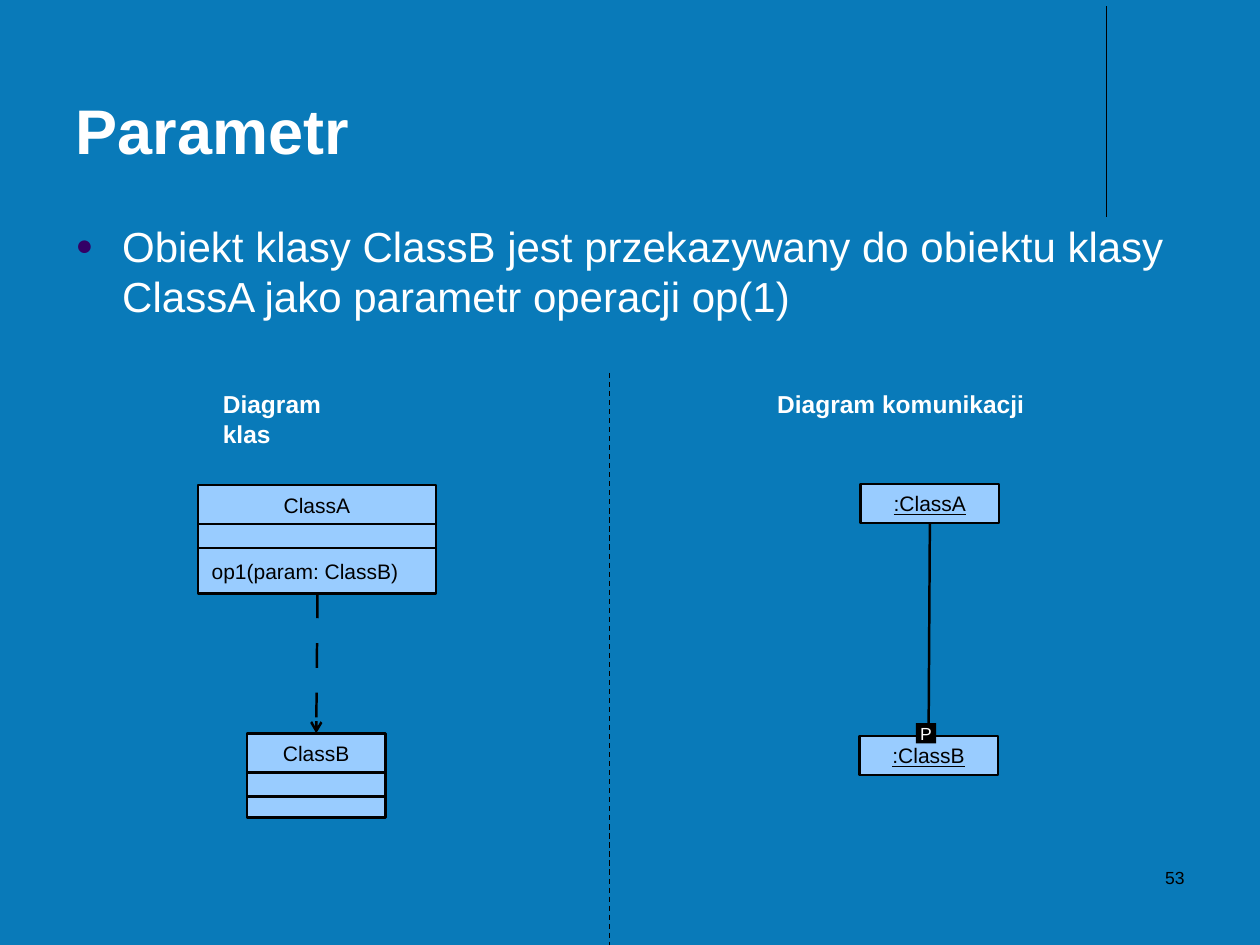
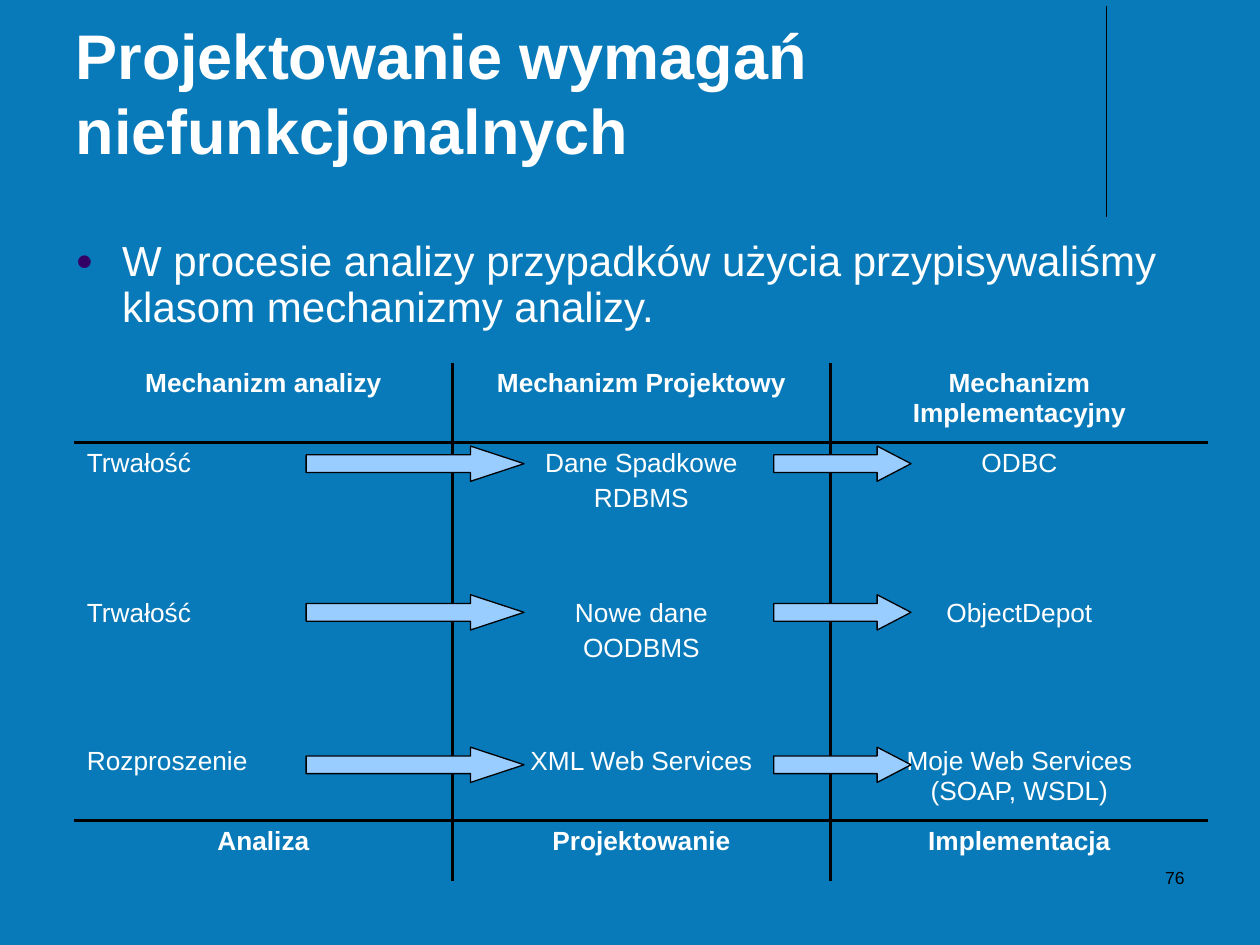
from lxml.etree import SubElement
from pptx import Presentation
from pptx.dml.color import RGBColor
from pptx.enum.dml import MSO_LINE
from pptx.enum.shapes import MSO_CONNECTOR, MSO_SHAPE
from pptx.enum.text import MSO_ANCHOR, MSO_AUTO_SIZE, PP_ALIGN
from pptx.oxml.ns import qn
from pptx.util import Inches, Pt

WIDTH, HEIGHT = Inches(10), Inches(7.5)
GRID_COLUMNS, GRID_ROWS = 10, 7.5
FONT = "Arial"
BACKGROUND, WHITE, BLACK = "097AB9", "FFFFFF", "000000"
BOX_BLUE, BULLET_PURPLE = "99CCFF", "330066"
THIN, OUTLINE, RULE = 0.75, 1.42, 1.98
NAME_HEIGHT, ATTRIBUTE_HEIGHT = 0.31, 0.19
CLASS_WIDTH = 1.1

MECHANISMS = [
    ["Mechanizm analizy", "Mechanizm Projektowy", "Mechanizm Implementacyjny"],
    ["Trwałość", "Dane Spadkowe\nRDBMS", "ODBC"],
    ["", "", ""],
    ["Trwałość", "Nowe dane\nOODBMS", "ObjectDepot"],
    ["", "", ""],
    ["Rozproszenie", "XML Web Services", "Moje Web Services\v(SOAP, WSDL)"],
    ["Analiza", "Projektowanie", "Implementacja"],
]
ROW_HEIGHTS = [0.63, 0.68, 0.51, 0.68, 0.5, 0.63, 0.48]


def color(hex_string):
    return RGBColor.from_string(hex_string)


def across(columns):
    return round(WIDTH * columns / GRID_COLUMNS)


def down(rows):
    return round(HEIGHT * rows / GRID_ROWS)


def area(left, top, width, height):
    return across(left), down(top), across(width), down(height)


def set_insets(text_frame, horizontal, vertical):
    text_frame.margin_left = text_frame.margin_right = Inches(horizontal)
    text_frame.margin_top = text_frame.margin_bottom = Inches(vertical)


def write(text_frame, text, size, hex_string, align=PP_ALIGN.LEFT,
          bold=False, underline=False, gap=0):
    text_frame.text = text
    for index, paragraph in enumerate(text_frame.paragraphs):
        paragraph.alignment = align
        paragraph.space_before = Pt(gap if index else 0)
        for run in paragraph.runs:
            run.font.name = FONT
            run.font.size = Pt(size)
            run.font.bold = bold
            run.font.underline = underline
            run.font.color.rgb = color(hex_string)


def add_text(slide, box, text, size, hex_string, wrap=True, **style):
    text_frame = slide.shapes.add_textbox(*area(*box)).text_frame
    text_frame.word_wrap = wrap
    set_insets(text_frame, 0.1, 0.05)
    write(text_frame, text, size, hex_string, **style)


def add_box(shapes, box, fill=BOX_BLUE, line_width=OUTLINE, kind=MSO_SHAPE.RECTANGLE):
    shape = shapes.add_shape(kind, *area(*box))
    shape.shadow.inherit = False
    shape.fill.solid()
    shape.fill.fore_color.rgb = color(fill)
    if line_width:
        shape.line.color.rgb = color(BLACK)
        shape.line.width = Pt(line_width)
    else:
        shape.line.fill.background()
    return shape


def add_label_box(shapes, box, text, align=PP_ALIGN.CENTER, underline=False):
    text_frame = add_box(shapes, box).text_frame
    text_frame.vertical_anchor = MSO_ANCHOR.MIDDLE
    set_insets(text_frame, 0.11, 0.06)
    write(text_frame, text, 12, BLACK, align=align, underline=underline)


def add_class(slide, left, top, width, name, operation, operation_height):
    shapes = slide.shapes.add_group_shape().shapes
    add_label_box(shapes, (left, top, width, NAME_HEIGHT), name)
    top += NAME_HEIGHT
    add_box(shapes, (left, top, width, ATTRIBUTE_HEIGHT))
    top += ATTRIBUTE_HEIGHT
    add_label_box(shapes, (left, top, width, operation_height), operation, PP_ALIGN.LEFT)


def add_line(slide, start, end, width):
    connector = slide.shapes.add_connector(
        MSO_CONNECTOR.STRAIGHT,
        across(start[0]), down(start[1]), across(end[0]), down(end[1]))
    connector.line.color.rgb = color(BLACK)
    connector.line.width = Pt(width)
    SubElement(connector._element.spPr, qn("a:effectLst"))
    return connector


def add_dependency(slide, start, end):
    line = add_line(slide, start, end, OUTLINE).line._get_or_add_ln()
    dashes = SubElement(line, qn("a:custDash"))
    SubElement(dashes, qn("a:ds"), d="1000000", sp="1000000")
    SubElement(line, qn("a:tailEnd"), type="arrow")


def place(placeholder, box, anchor):
    placeholder.left, placeholder.top, placeholder.width, placeholder.height = area(*box)
    text_frame = placeholder.text_frame
    text_frame.auto_size = MSO_AUTO_SIZE.NONE
    text_frame.word_wrap = True
    text_frame.vertical_anchor = anchor
    set_insets(text_frame, 0.1, 0.05)
    return text_frame


def add_bullet(paragraph):
    properties = paragraph._p.get_or_add_pPr()
    properties.set("marL", str(Inches(0.37)))
    properties.set("indent", str(-Inches(0.37)))
    bullet_color = SubElement(properties, qn("a:buClr"))
    SubElement(bullet_color, qn("a:srgbClr"), val=BULLET_PURPLE)
    SubElement(properties, qn("a:buSzPct"), val="70000")
    SubElement(properties, qn("a:buFont"), typeface=FONT)
    SubElement(properties, qn("a:buChar"), char="●")


def add_content_slide(presentation, title, point, point_box, number, line_spacing=1.0):
    slide = presentation.slides.add_slide(presentation.slide_layouts[1])
    add_line(slide, (8.78, 0.05), (8.78, 1.72), THIN)
    title_frame = place(slide.shapes.title, (0.5, 0.13, 8.25, 1.25), MSO_ANCHOR.BOTTOM)
    write(title_frame, title, 36, WHITE, bold=True)
    body_frame = place(slide.placeholders[1], point_box, MSO_ANCHOR.TOP)
    write(body_frame, point, 24, WHITE)
    body_frame.paragraphs[0].line_spacing = line_spacing
    add_bullet(body_frame.paragraphs[0])
    add_text(slide, (7.17, 6.83, 2.33, 0.5), number, 10, BLACK, align=PP_ALIGN.RIGHT)
    return slide


def set_borders(cell, visible_sides):
    properties = cell._tc.get_or_add_tcPr()
    for side in "LRTB":
        border = SubElement(properties, qn(f"a:ln{side}"), w=str(Pt(RULE)))
        if side in visible_sides:
            fill = SubElement(border, qn("a:solidFill"))
            SubElement(fill, qn("a:srgbClr"), val=BLACK)
        else:
            SubElement(border, qn("a:noFill"))


def sides_for(row, column, last_row, last_column):
    rules = {
        "L": column > 0,
        "R": column < last_column,
        "T": row in (1, last_row),
        "B": row in (0, last_row - 1),
    }
    return [side for side, visible in rules.items() if visible]


def add_mechanism_table(slide):
    last_row, last_column = len(MECHANISMS) - 1, len(MECHANISMS[0]) - 1
    box = area(0.59, 2.88, 9, sum(ROW_HEIGHTS))
    table = slide.shapes.add_table(last_row + 1, last_column + 1, *box).table
    table.first_row = table.horz_banding = False
    for row, texts in enumerate(MECHANISMS):
        table.rows[row].height = down(ROW_HEIGHTS[row])
        heading = row in (0, last_row)
        for column, text in enumerate(texts):
            cell = table.cell(row, column)
            set_borders(cell, sides_for(row, column, last_row, last_column))
            cell.fill.background()
            centred = heading or column > 0
            write(cell.text_frame, text, 15, WHITE, bold=heading, gap=3.7,
                  align=PP_ALIGN.CENTER if centred else PP_ALIGN.LEFT)


def add_block_arrow(slide, left, top, width, head):
    arrow = add_box(slide.shapes, (left, top, width, 0.28), line_width=THIN,
                    kind=MSO_SHAPE.RIGHT_ARROW)
    arrow.adjustments[0] = 0.5
    arrow.adjustments[1] = head


def build_parameter_slide(presentation):
    slide = add_content_slide(
        presentation, "Parametr",
        "Obiekt klasy ClassB jest przekazywany do obiektu klasy ClassA "
        "jako parametr operacji op(1)",
        (0.5, 1.7, 9, 1.16), "53")
    for left, width, caption in ((1.67, 1.41, "Diagram klas"),
                                 (6.07, 2.16, "Diagram komunikacji")):
        add_text(slide, (left, 3.04, width, 0.34), caption, 14, WHITE,
                 wrap=False, bold=True)
    divider = add_line(slide, (4.84, 2.96), (4.84, 7.5), THIN)
    divider.line.dash_style = MSO_LINE.DASH

    add_class(slide, 1.57, 3.85, 1.89, "ClassA", "op1(param: ClassB)", 0.36)
    add_class(slide, 1.96, 5.82, CLASS_WIDTH, "ClassB", "", 0.17)
    add_dependency(slide, (2.52, 4.71), (2.51, 5.82))

    for left, top, name in ((6.83, 3.84, ":ClassA"), (6.82, 5.84, ":ClassB")):
        add_label_box(slide.shapes, (left, top, CLASS_WIDTH, NAME_HEIGHT), name,
                      underline=True)
    add_line(slide, (7.38, 4.15), (7.37, 5.84), OUTLINE)
    badge = add_box(slide.shapes, (7.27, 5.74, 0.16, 0.16), BLACK, 0).text_frame
    badge.vertical_anchor = MSO_ANCHOR.MIDDLE
    set_insets(badge, 0, 0)
    write(badge, "P", 10, WHITE, align=PP_ALIGN.CENTER)


def build_requirements_slide(presentation):
    slide = add_content_slide(
        presentation, "Projektowanie wymagań niefunkcjonalnych",
        "W procesie analizy przypadków użycia przypisywaliśmy klasom mechanizmy analizy.",
        (0.5, 1.86, 9, 0.93), "76", line_spacing=0.9)
    add_mechanism_table(slide)
    for top in (3.54, 4.72, 5.93):
        add_block_arrow(slide, 2.43, top, 1.73, 1.52)
        add_block_arrow(slide, 6.14, top, 1.09, 0.96)


def main():
    presentation = Presentation()
    presentation.slide_width, presentation.slide_height = WIDTH, HEIGHT
    background = presentation.slide_master.background.fill
    background.solid()
    background.fore_color.rgb = color(BACKGROUND)
    build_parameter_slide(presentation)
    build_requirements_slide(presentation)
    presentation.save("out.pptx")


if __name__ == "__main__":
    main()
